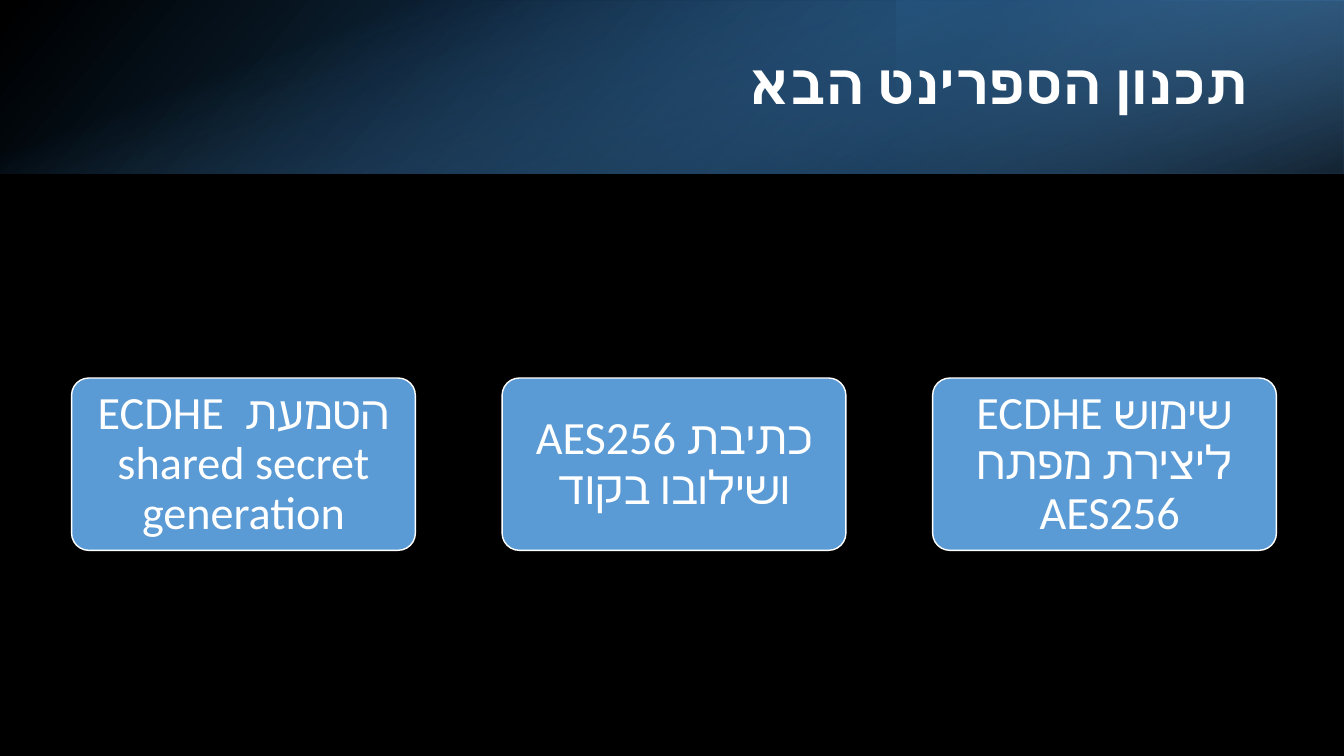
from lxml.etree import SubElement
from pptx import Presentation
from pptx.dml.color import RGBColor
from pptx.enum.shapes import MSO_SHAPE
from pptx.enum.text import MSO_ANCHOR, MSO_AUTO_SIZE, PP_ALIGN
from pptx.oxml.ns import qn
from pptx.util import Inches, Pt

COLORS = {
    "black": "000000",
    "white": "FFFFFF",
    "sky": "5B9BD5",
    "blue": "2E75B6",
    "navy": "1F4E79",
}


class SlideBuilder:
    title_font = "Lato"
    body_font = "Calibri"

    def __init__(self, slide):
        self.slide = slide

    def color(self, name):
        return RGBColor.from_string(COLORS[name])

    def background(self, color):
        fill = self.slide.background.fill
        fill.solid()
        fill.fore_color.rgb = self.color(color)

    def box(self, kind, position, color):
        shape = self.slide.shapes.add_shape(kind, *map(Inches, position))
        shape.shadow.inherit = False
        shape.fill.solid()
        shape.fill.fore_color.rgb = self.color(color)
        shape.line.fill.background()
        return shape

    def gradient_band(self, position, stops, angle, rotation=0, flip=False):
        shape = self.box(MSO_SHAPE.RECTANGLE, position, "black")
        shape.rotation = rotation
        properties = shape._element.spPr
        if flip:
            properties.find(qn("a:xfrm")).set("flipH", "1")
        solid = properties.find(qn("a:solidFill"))
        gradient = SubElement(properties, qn("a:gradFill"), rotWithShape="1")
        stop_list = SubElement(gradient, qn("a:gsLst"))
        for place, color, opacity in stops:
            stop = SubElement(stop_list, qn("a:gs"), pos=str(place * 1000))
            value = SubElement(stop, qn("a:srgbClr"), val=COLORS[color])
            SubElement(value, qn("a:alpha"), val=str(opacity * 1000))
        SubElement(gradient, qn("a:lin"), ang=str(angle * 60000), scaled="0")
        properties.replace(solid, gradient)

    def set_text(self, shape, text, font, size, alignment, bold=False):
        frame = shape.text_frame
        frame.text = text
        frame.word_wrap = True
        frame.auto_size = MSO_AUTO_SIZE.NONE
        frame.vertical_anchor = MSO_ANCHOR.MIDDLE
        paragraph = frame.paragraphs[0]
        paragraph.alignment = alignment
        paragraph.line_spacing = 0.9
        paragraph._p.get_or_add_pPr().set("rtl", "1")
        run = paragraph.runs[0]
        run.font.name = font
        run.font.size = Pt(size)
        run.font.bold = bold
        run.font.color.rgb = self.color("white")
        SubElement(run._r.get_or_add_rPr(), qn("a:cs"), typeface=font)

    def title(self, text, position):
        shape = self.slide.shapes.title
        shape.left, shape.top, shape.width, shape.height = map(Inches, position)
        self.set_text(shape, text, self.title_font, 40, PP_ALIGN.RIGHT, bold=True)
        tree = self.slide.shapes._spTree
        tree.append(shape._element)

    def card(self, text, position):
        shape = self.box(MSO_SHAPE.ROUNDED_RECTANGLE, position, "sky")
        shape.adjustments[0] = 0.1
        shape.line.color.rgb = self.color("white")
        shape.line.width = Pt(1)
        frame = shape.text_frame
        frame.margin_left = frame.margin_right = Inches(0.12)
        frame.margin_top = frame.margin_bottom = Inches(0.1)
        self.set_text(shape, text, self.body_font, 33, PP_ALIGN.CENTER)


def main():
    presentation = Presentation()
    presentation.slide_width = Inches(13.33)
    presentation.slide_height = Inches(7.5)
    slide = presentation.slides.add_slide(presentation.slide_layouts[5])
    builder = SlideBuilder(slide)

    builder.background("black")
    builder.box(MSO_SHAPE.RECTANGLE, (0, 0, 13.33, 7.5), "black")
    builder.gradient_band(
        (0, 0, 13.33, 1.72), [(0, "black", 96), (100, "blue", 100)], 140, flip=True
    )
    builder.gradient_band(
        (8.89, 0, 4.44, 1.72), [(19, "navy", 68), (100, "sky", 79)], 320, 180, True
    )
    builder.gradient_band(
        (5.8, -5.8, 1.72, 13.33), [(23, "sky", 0), (99, "black", 74)], 340, 90
    )
    builder.title("תכנון הספרינט הבא", (1.5, 0.38, 10.98, 0.96))

    cards = [
        "הטמעת  ECDHE shared secret generation",
        "כתיבת AES256 ושילובו בקוד",
        "שימוש ECDHE ליצירת מפתח AES256 ",
    ]
    card_width, card_gap = 3.41, 0.86
    for index, text in enumerate(cards):
        left = 0.71 + index * (card_width + card_gap)
        builder.card(text, (left, 3.75, card_width, 1.71))

    presentation.save("out.pptx")


if __name__ == "__main__":
    main()
